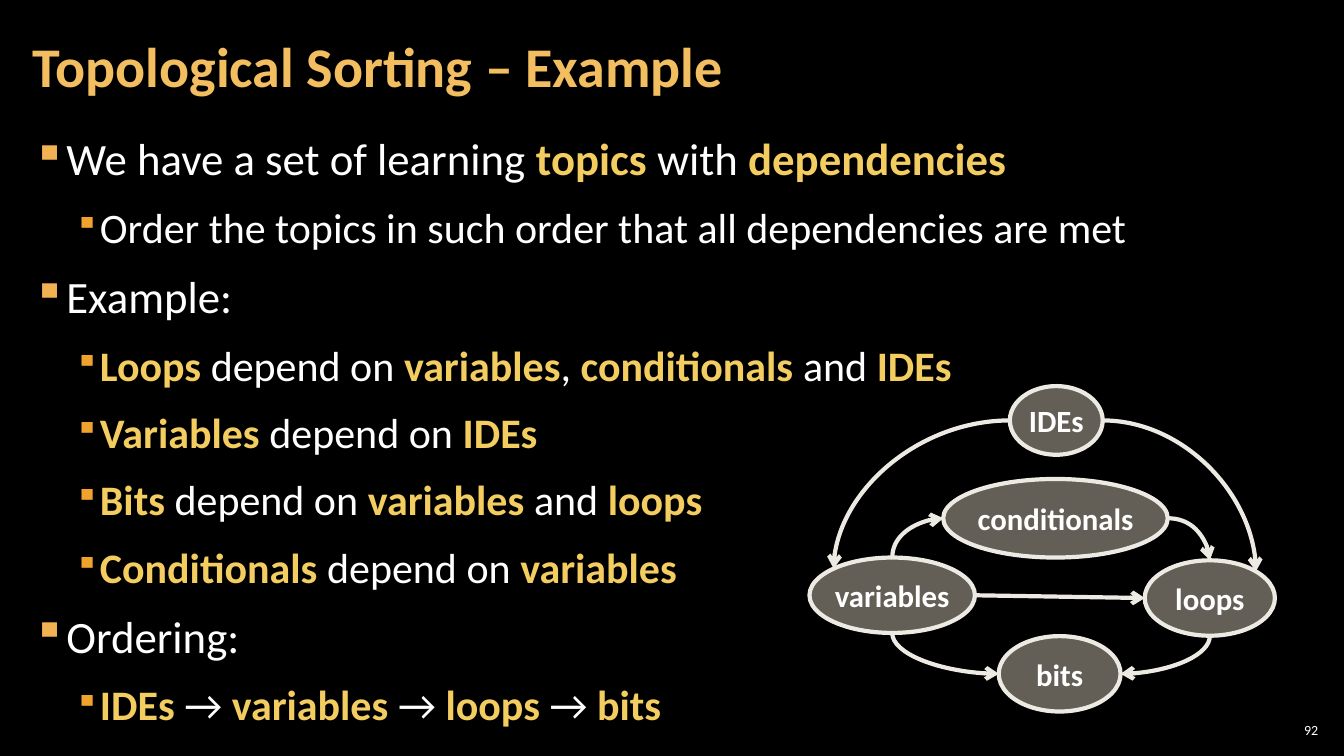
from lxml import etree
from pptx import Presentation
from pptx.dml.color import RGBColor
from pptx.enum.shapes import MSO_CONNECTOR, MSO_SHAPE
from pptx.enum.text import MSO_ANCHOR, PP_ALIGN
from pptx.oxml.ns import qn
from pptx.util import Cm, Pt

BLACK = RGBColor(0x00, 0x00, 0x00)
WHITE = RGBColor(0xFF, 0xFF, 0xFF)
TITLE_GOLD = RGBColor(0xF3, 0xBE, 0x60)
KEYWORD_GOLD = RGBColor(0xF3, 0xCD, 0x60)
NODE_FILL = RGBColor(0xC7, 0xBF, 0xAC)
NODE_LINE = RGBColor(0xEC, 0xEA, 0xE3)

ELLIPSE = MSO_SHAPE.OVAL
STRAIGHT, CURVE = MSO_CONNECTOR.STRAIGHT, MSO_CONNECTOR.CURVE
TOP, MIDDLE = MSO_ANCHOR.TOP, MSO_ANCHOR.MIDDLE
LEFT, CENTER, RIGHT = PP_ALIGN.LEFT, PP_ALIGN.CENTER, PP_ALIGN.RIGHT
FONT = "Calibri"

# Per level: left margin, indent, text size, bullet colour, bullet percent
LEVELS = [
    (Cm(0.84), Cm(-0.84), Pt(32), "F2B254", 100),
    (Cm(1.69), Cm(-0.64), Pt(30), "F0A22E", 80),
]

TOPICS = [
    (0, "We have a set of learning *topics* with *dependencies*"),
    (1, "Order the topics in such order that all dependencies are met"),
    (0, "Example:"),
    (1, "*Loops *depend on *variables*, *conditionals *and *IDEs*"),
    (1, "*Variables* depend on *IDEs*"),
    (1, "*Bits* depend on *variables* and *loops*"),
    (1, "*Conditionals* depend on *variables*"),
    (0, "Ordering:"),
    (1, "*IDEs *→ *variables* → *loops* → *bits*"),
]

NODES = {
    "variables": (0, 4.32, 4.17, 1.9),
    "IDEs": (5.05, 0, 2.34, 1.73),
    "conditionals": (3.37, 2.34, 5.66, 1.98),
    "loops": (8.45, 4.39, 3.28, 1.9),
    "bits": (4.77, 6.3, 3.07, 1.9),
}

SITES = {
    "top": (0.5, 0), "bottom": (0.5, 1), "left": (0, 0.5), "right": (1, 0.5),
    "top left": (0.146, 0.146), "top right": (0.854, 0.146),
}

DEPENDENCIES = [
    ("IDEs", "left", "variables", "top left"),
    ("IDEs", "right", "loops", "top right"),
    ("variables", "right", "loops", "left"),
    ("variables", "top", "conditionals", "left"),
    ("variables", "bottom", "bits", "left"),
    ("conditionals", "right", "loops", "top"),
    ("loops", "bottom", "bits", "right"),
]


def style_font(font, size, color, bold=False):
    """Apply the slide's font with a size, colour and weight."""
    font.name, font.size, font.bold = FONT, size, bold
    font.color.rgb = color


def add_text_area(slide, box, anchor, inset):
    """Add an empty wrapping text box and return its text frame."""
    frame = slide.shapes.add_textbox(*map(Cm, box)).text_frame
    frame.word_wrap = True
    frame.vertical_anchor = anchor
    frame.margin_left = frame.margin_right = Cm(inset)
    frame.margin_top = frame.margin_bottom = Cm(0.1)
    return frame


def add_line_of_text(slide, box, text, size, color, align, inset, bold=False):
    """Add a single vertically centred line of text."""
    frame = add_text_area(slide, box, MIDDLE, inset)
    frame.text = text
    paragraph = frame.paragraphs[0]
    paragraph.alignment = align
    style_font(paragraph.runs[0].font, size, color, bold)


def add_bullet(paragraph, level):
    """Give a paragraph the square bullet and indents of its level."""
    margin, indent, _, color, percent = LEVELS[level]
    properties = paragraph._p.get_or_add_pPr()
    properties.set("marL", str(margin))
    properties.set("indent", str(indent))
    bullet_color = etree.SubElement(properties, qn("a:buClr"))
    etree.SubElement(bullet_color, qn("a:srgbClr"), val=color)
    etree.SubElement(properties, qn("a:buSzPct"), val=str(percent * 1000))
    etree.SubElement(properties, qn("a:buChar"), char="▪")
    paragraph.level = level


def add_topic_list(slide, box):
    """Add the bulleted list, with starred keywords in bold gold."""
    frame = add_text_area(slide, box, TOP, 0.3)
    for index, (level, text) in enumerate(TOPICS):
        paragraph = frame.add_paragraph() if index else frame.paragraphs[0]
        add_bullet(paragraph, level)
        paragraph.space_before = Pt(6 if index else 0)
        paragraph.space_after = Pt(6)
        for position, piece in enumerate(text.split("*")):
            if piece:
                run = paragraph.add_run()
                run.text = piece
                keyword = position % 2 == 1
                color = KEYWORD_GOLD if keyword else WHITE
                style_font(run.font, LEVELS[level][2], color, keyword)


def add_node(slide, box, label):
    """Add one half-transparent labelled ellipse."""
    node = slide.shapes.add_shape(ELLIPSE, *map(Cm, box))
    node.shadow.inherit = False
    node.fill.solid()
    node.fill.fore_color.rgb = NODE_FILL
    fill_color = node._element.spPr.find(qn("a:solidFill"))[0]
    etree.SubElement(fill_color, qn("a:alpha"), val="50000")
    node.line.color.rgb = NODE_LINE
    node.line.width = Pt(3)
    frame = node.text_frame
    frame.margin_left = frame.margin_right = 0
    frame.margin_top = frame.margin_bottom = 0
    frame.word_wrap = False
    frame.vertical_anchor = MIDDLE
    frame.text = label
    frame.paragraphs[0].alignment = CENTER
    style_font(frame.paragraphs[0].runs[0].font, Pt(22), WHITE, True)


def add_arrow(slide, start, end, site):
    """Add an arrow, curved unless level, leaving along its start site's side."""
    (x1, y1), (x2, y2) = start, end
    curved = abs(y2 - y1) > 0.5
    upright = site in ("top", "bottom")
    if upright:
        center_x, center_y = (x1 + x2) / 2, (y1 + y2) / 2
        half_x, half_y = (y2 - y1) / 2, (x1 - x2) / 2
        x1, y1 = center_x - half_x, center_y - half_y
        x2, y2 = center_x + half_x, center_y + half_y
    kind = CURVE if curved else STRAIGHT
    arrow = slide.shapes.add_connector(kind, *map(Cm, (x1, y1, x2, y2)))
    arrow.line.color.rgb = NODE_LINE
    arrow.line.width = Pt(3)
    properties = arrow._element.spPr
    if curved:
        properties.find(qn("a:prstGeom")).set("prst", "curvedConnector2")
    if upright:
        properties.find(qn("a:xfrm")).set("rot", "5400000")
    etree.SubElement(properties.find(qn("a:ln")), qn("a:tailEnd"), type="arrow")
    etree.SubElement(properties, qn("a:effectLst"))


def add_dependency_graph(slide, left, top):
    """Add the topic ellipses and the arrows between them."""
    boxes = {topic: (left + x, top + y, width, height)
             for topic, (x, y, width, height) in NODES.items()}

    def site_point(topic, site):
        """Return the point of a connection site on a topic's ellipse."""
        x, y, width, height = boxes[topic]
        across, down = SITES[site]
        return x + across * width, y + down * height

    for topic, box in boxes.items():
        add_node(slide, box, topic)
    for source, source_site, target, target_site in DEPENDENCIES:
        add_arrow(slide, site_point(source, source_site),
                  site_point(target, target_site), source_site)


def main():
    """Build the topological sorting slide and save it."""
    deck = Presentation()
    deck.slide_width, deck.slide_height = Cm(33.87), Cm(19.05)
    slide = deck.slides.add_slide(deck.slide_layouts[6])
    slide.background.fill.solid()
    slide.background.fill.fore_color.rgb = BLACK
    add_line_of_text(slide, (32.13, 18.14, 1.19, 0.53), "92",
                     Pt(10), WHITE, RIGHT, 0.1)
    add_topic_list(slide, (0.53, 3.2, 32.79, 15.47))
    add_line_of_text(slide, (0.53, 0.1, 26.59, 3.07),
                     "Topological Sorting – Example",
                     Pt(40), TITLE_GOLD, LEFT, 0.3, True)
    add_dependency_graph(slide, 20.4, 9.73)
    deck.save("out.pptx")


if __name__ == "__main__":
    main()
